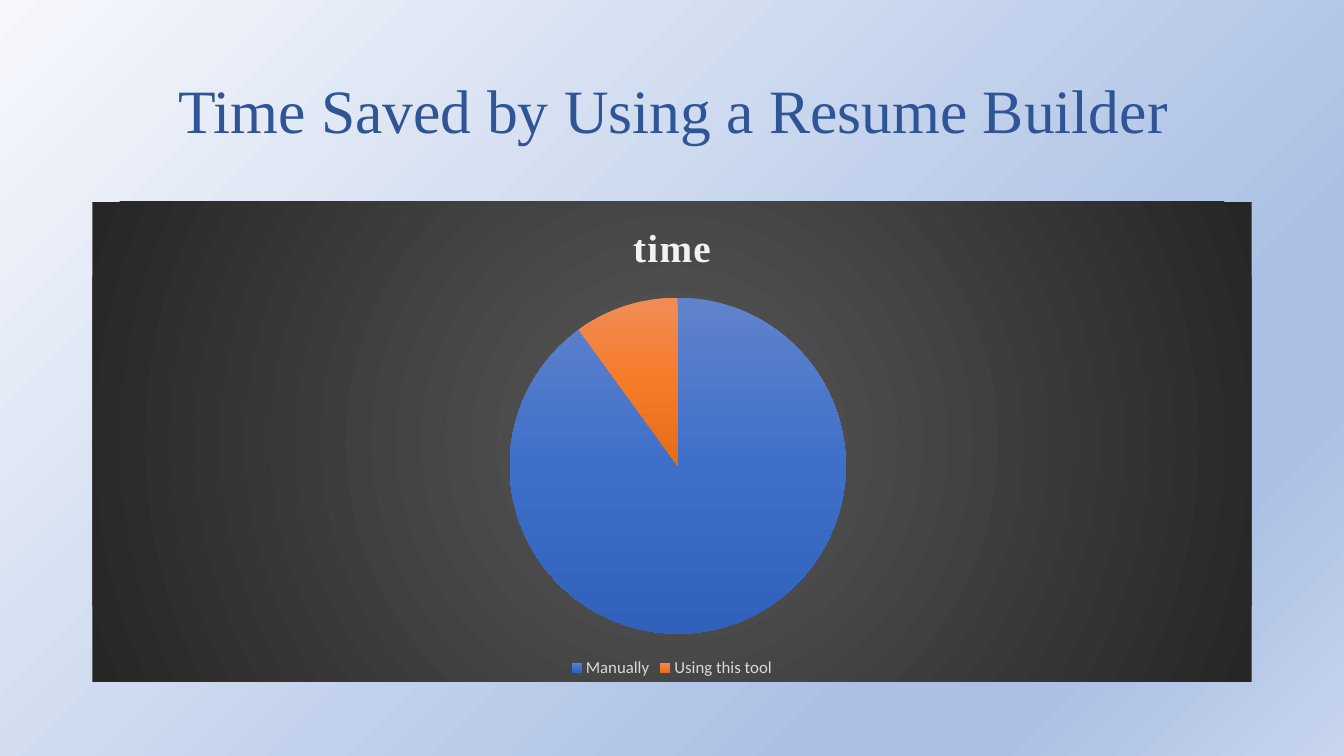
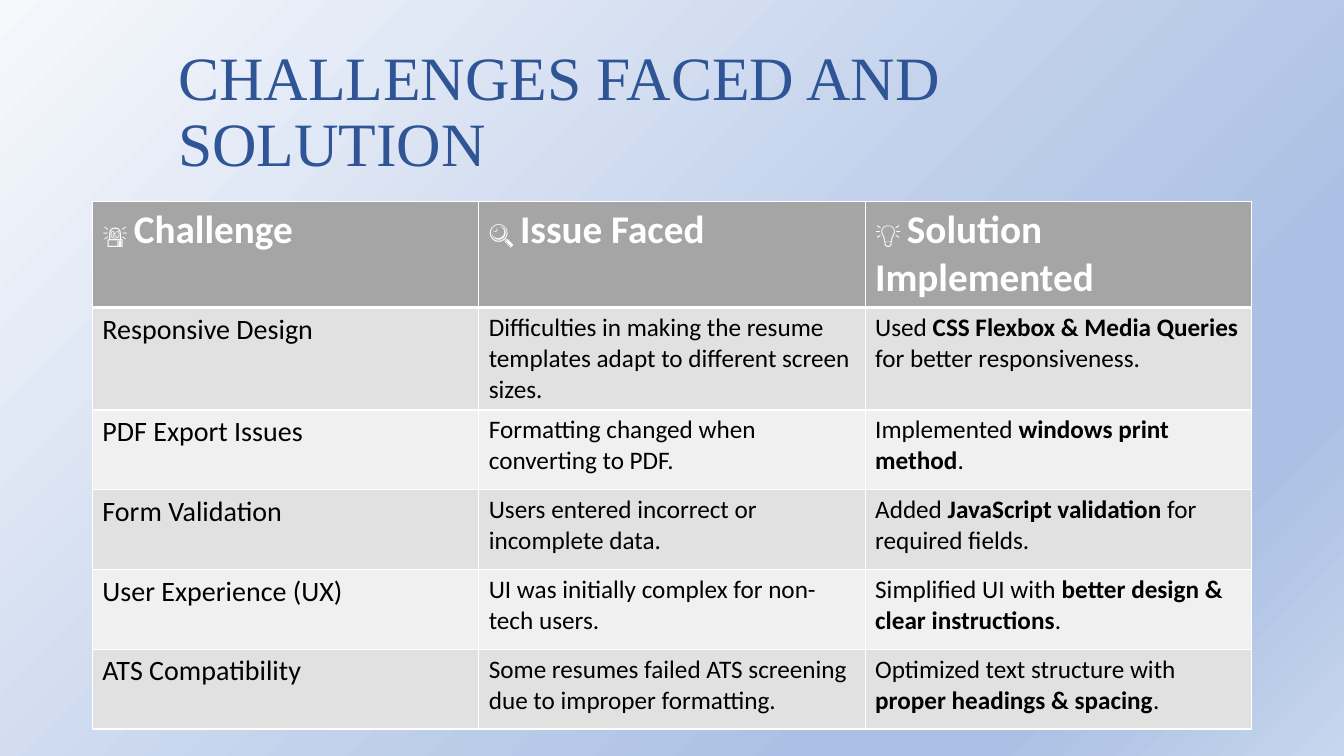
from dataclasses import dataclass

from pptx import Presentation, util as u
from pptx.chart.data import CategoryChartData
from pptx.dml.color import RGBColor
from pptx.enum import chart as charts, text
from pptx.oxml import ns, parse_xml

SERIF = "Times New Roman"
SANS = "Calibri"
BLUE = "2F5597"
WHITE = "FFFFFF"
BLACK = "000000"
HEADER_GRAY = "A5A5A5"
BAND_GRAYS = ("E1E1E1", "F0F0F0")

LEFT, TOP, WIDTH = 66, 144, 828
CHART_HEIGHT = 343
ROW_HEIGHT = 57


@dataclass(frozen=True)
class Stop:
    position: int
    color: str
    opacity: int = 100


@dataclass(frozen=True)
class Gradient:
    """A linear gradient, or one that spreads from the centre when angle is None."""
    stops: tuple[Stop, ...]
    angle: int | None


@dataclass(frozen=True)
class Slice:
    label: str
    value: int
    gradient: Gradient


@dataclass(frozen=True)
class Heading:
    icon: str
    label: str


@dataclass(frozen=True)
class Challenge:
    """A table row; asterisks enclose the bold part of the solution."""
    name: str
    issue: str
    solution: str


BACKGROUND = Gradient(
    (Stop(0, "F6F8FC", 90), Stop(74, "ABC0E4"), Stop(83, "ABC0E4"), Stop(100, "C7D5ED")), 45)
CHART_BACKGROUND = Gradient((Stop(0, "595959"), Stop(100, "262626")), None)
SLICES = (
    Slice("Manually", 90,
          Gradient((Stop(0, "6183CB"), Stop(50, "3E70CA"), Stop(100, "3062BB")), 90)),
    Slice("Using this tool", 10,
          Gradient((Stop(0, "F18C57"), Stop(50, "F67B28"), Stop(100, "E56C19")), 90)),
)
HEADINGS = (
    Heading("🚨", "Challenge"),
    Heading("🔍", "Issue Faced"),
    Heading("💡", "Solution Implemented"),
)
CHALLENGES = (
    Challenge("Responsive Design",
              "Difficulties in making the resume templates adapt to different screen sizes.",
              "Used *CSS Flexbox & Media Queries* for better responsiveness."),
    Challenge("PDF Export Issues",
              "Formatting changed when converting to PDF.",
              "Implemented *windows print method*."),
    Challenge("Form Validation",
              "Users entered incorrect or incomplete data.",
              "Added *JavaScript validation* for required fields."),
    Challenge("User Experience (UX)",
              "UI was initially complex for non-tech users.",
              "Simplified UI with *better design & clear instructions*."),
    Challenge("ATS Compatibility",
              "Some resumes failed ATS screening due to improper formatting.",
              "Optimized text structure with *proper headings & spacing*."),
)


def rgb(color: str) -> RGBColor:
    return RGBColor.from_string(color)


def set_font(font, name: str, size: float, color: str, bold: bool = False) -> None:
    font.name = name
    font.size = u.Pt(size)
    font.bold = bold
    font.color.rgb = rgb(color)


def gradient_element(gradient: Gradient):
    stops = "".join(
        f'<a:gs pos="{stop.position * 1000}"><a:srgbClr val="{stop.color}">'
        f'<a:alpha val="{stop.opacity * 1000}"/></a:srgbClr></a:gs>'
        for stop in gradient.stops)
    if gradient.angle is None:
        direction = ('<a:path path="circle">'
                     '<a:fillToRect l="50000" t="50000" r="50000" b="50000"/></a:path>')
    else:
        direction = f'<a:lin ang="{gradient.angle * 60000}" scaled="0"/>'
    return parse_xml(f'<a:gradFill {ns.nsdecls("a")} rotWithShape="1">'
                     f'<a:gsLst>{stops}</a:gsLst>{direction}</a:gradFill>')


def replace_solid_fill(parent, gradient: Gradient) -> None:
    """Swap the first solid fill under an element for a gradient."""
    solid = next(parent.iter(ns.qn("a:solidFill")))
    solid.getparent().replace(solid, gradient_element(gradient))


def set_background(master) -> None:
    master.background.fill.solid()
    master.background.fill.fore_color.rgb = rgb(WHITE)
    replace_solid_fill(master.element, BACKGROUND)


def add_titled_slide(presentation, title_text: str):
    slide = presentation.slides.add_slide(presentation.slide_layouts[5])
    title = slide.shapes.title
    title.left, title.top, title.width, title.height = map(u.Pt, (120, 29, 774, 104.5))
    frame = title.text_frame
    frame.text = title_text
    frame.word_wrap = True
    frame.auto_size = text.MSO_AUTO_SIZE.NONE
    frame.vertical_anchor = text.MSO_ANCHOR.MIDDLE
    paragraph = frame.paragraphs[0]
    paragraph.alignment = text.PP_ALIGN.LEFT
    paragraph.line_spacing = 0.9
    set_font(paragraph.runs[0].font, SERIF, 44, BLUE)
    return slide


def place_pie(chart) -> None:
    """Fix the plot area as fractions of the chart."""
    plot_area = next(chart.element.iter(ns.qn("c:plotArea")))
    for layout in plot_area.findall(ns.qn("c:layout")):
        plot_area.remove(layout)
    bounds = {"x": 0.36, "y": 0.2, "w": 0.29, "h": 0.7}
    values = "".join(f'<c:{key} val="{value}"/>' for key, value in bounds.items())
    plot_area.insert(0, parse_xml(
        f'<c:layout {ns.nsdecls("c")}><c:manualLayout><c:layoutTarget val="inner"/>'
        f'<c:xMode val="edge"/><c:yMode val="edge"/>{values}</c:manualLayout></c:layout>'))


def add_time_chart(slide) -> None:
    data = CategoryChartData()
    data.categories = [item.label for item in SLICES]
    data.add_series("Series 1", [item.value for item in SLICES])
    chart = slide.shapes.add_chart(
        charts.XL_CHART_TYPE.PIE, u.Pt(LEFT), u.Pt(TOP), u.Pt(WIDTH), u.Pt(CHART_HEIGHT),
        data).chart

    plot = chart.plots[0]
    plot.vary_by_categories = True
    for index in range(len(SLICES)):
        point = plot.series[0].points[index]
        point.format.fill.solid()
        point.format.line.fill.background()
    for point_element, item in zip(chart.element.iter(ns.qn("c:dPt")), SLICES):
        replace_solid_fill(point_element, item.gradient)
    place_pie(chart)

    area = parse_xml(f'<c:spPr {ns.nsdecls("c", "a")}><a:ln><a:noFill/></a:ln></c:spPr>')
    area.insert(0, gradient_element(CHART_BACKGROUND))
    chart.element.find(ns.qn("c:chart")).addnext(area)

    set_font(chart.font, SANS, 10, BLACK)
    chart.has_title = True
    chart.chart_title.include_in_layout = False
    frame = chart.chart_title.text_frame
    frame.text = "time"
    title_font = frame.paragraphs[0].runs[0].font
    set_font(title_font, SERIF, 28, "F2F2F2", True)
    frame.paragraphs[0].runs[0]._r.get_or_add_rPr().set("spc", "100")

    chart.has_legend = True
    chart.legend.position = charts.XL_LEGEND_POSITION.BOTTOM
    chart.legend.include_in_layout = False
    set_font(chart.legend.font, SANS, 12, "D9D9D9")


def style_cell(cell, fill: str, top: int = 1, bottom: int = 1) -> None:
    """Fill a cell and give it white borders, with widths in points."""
    cell.fill.solid()
    cell.fill.fore_color.rgb = rgb(fill)
    properties = cell._tc.get_or_add_tcPr()
    for index, (side, width) in enumerate((("L", 1), ("R", 1), ("T", top), ("B", bottom))):
        properties.insert(index, parse_xml(
            f'<a:ln{side} {ns.nsdecls("a")} w="{u.Pt(width)}"><a:solidFill>'
            f'<a:srgbClr val="{WHITE}"/></a:solidFill></a:ln{side}>'))


def add_run(cell, content: str, size: float, color: str, bold: bool = False) -> None:
    run = cell.text_frame.paragraphs[0].add_run()
    run.text = content
    set_font(run.font, SANS, size, color, bold)


def add_challenge_table(slide) -> None:
    row_count = len(CHALLENGES) + 1
    table = slide.shapes.add_table(
        row_count, len(HEADINGS), u.Pt(LEFT), u.Pt(TOP), u.Pt(WIDTH),
        u.Pt(ROW_HEIGHT * row_count)).table

    for column, heading in enumerate(HEADINGS):
        cell = table.cell(0, column)
        style_cell(cell, HEADER_GRAY, bottom=3)
        add_run(cell, heading.icon + " ", 18, WHITE, True)
        add_run(cell, heading.label, 28, WHITE, True)

    for row, challenge in enumerate(CHALLENGES, start=1):
        contents = (challenge.name, challenge.issue, challenge.solution)
        for column, content in enumerate(contents):
            cell = table.cell(row, column)
            style_cell(cell, BAND_GRAYS[(row - 1) % 2], top=3 if row == 1 else 1)
            for part, words in enumerate(content.split("*")):
                add_run(cell, words, 20 if column == 0 else 18, BLACK, part % 2 == 1)


def main() -> None:
    presentation = Presentation()
    presentation.slide_width, presentation.slide_height = u.Pt(960), u.Pt(540)
    set_background(presentation.slide_master)
    add_time_chart(add_titled_slide(presentation, "Time Saved by Using a Resume Builder"))
    add_challenge_table(add_titled_slide(presentation, "CHALLENGES FACED AND SOLUTION"))
    presentation.save("out.pptx")


if __name__ == "__main__":
    main()
